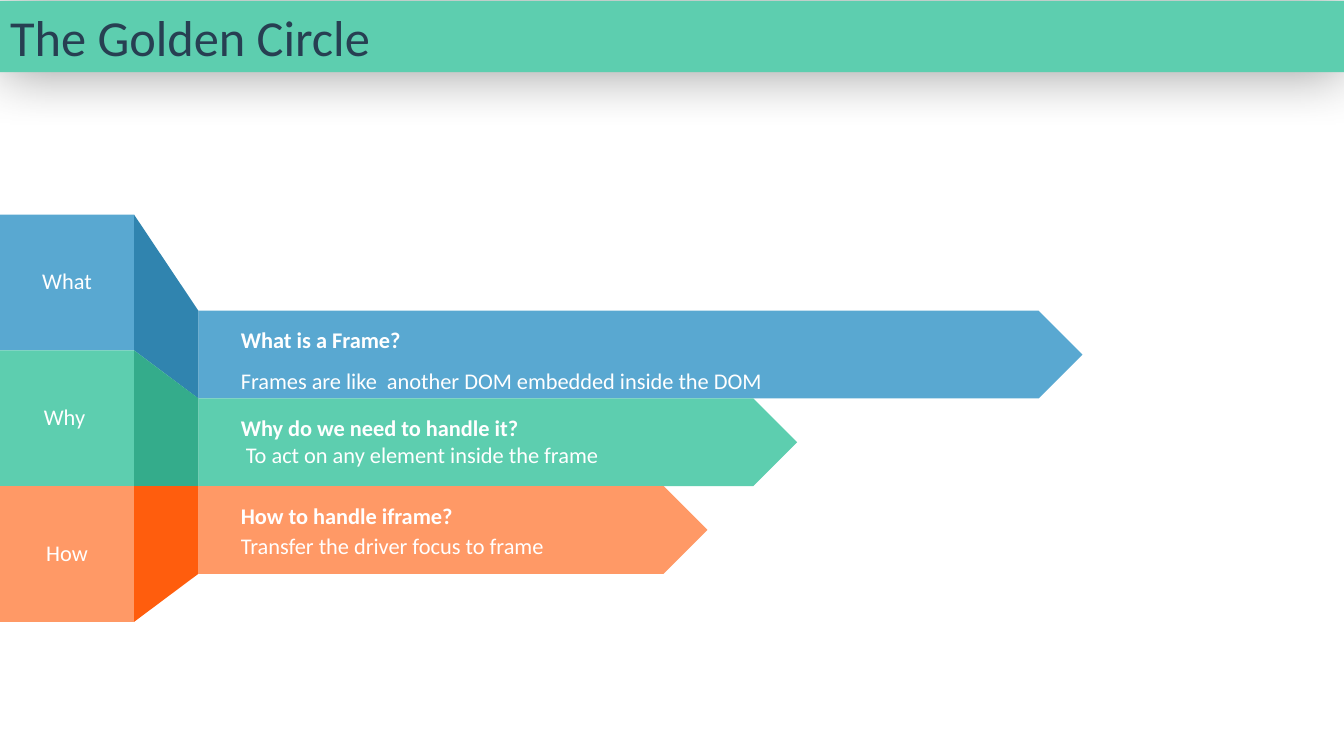
from lxml.etree import SubElement
from pptx import Presentation
from pptx.dml.color import RGBColor
from pptx.enum.shapes import MSO_SHAPE as Preset
from pptx.enum.text import MSO_ANCHOR as Anchor, MSO_AUTO_SIZE as AutoSize, PP_ALIGN as Align
from pptx.oxml.ns import qn
from pptx.util import Cm, Pt

TILE_WIDTH, TILE_HEIGHT, TILES_TOP = 3.38, 3.42, 5.41
ARROW_LEFT, ARROW_HEIGHT, ARROWS_TOP = 5.0, 2.21, 7.83
TEXT_LEFT = 5.82


def rgb(code):
    """Turn a hex string into a colour."""
    return RGBColor.from_string(code)


class SlideBuilder:
    """Hold the style and draw the elements of the current slide."""

    font, size, white = "Calibri", 16, "FFFFFF"

    def __init__(self, slide):
        """Keep the slide that receives the elements."""
        self.slide = slide

    def paint(self, shape, color):
        """Give a shape a flat fill without outline or shadow."""
        shape.shadow.inherit = False
        shape.fill.solid()
        shape.fill.fore_color.rgb = rgb(color)
        shape.line.fill.background()

    def add_run(self, paragraph, text, size, color, bold=False):
        """Append one formatted run to a paragraph."""
        run = paragraph.add_run()
        run.text = text
        run.font.name = self.font
        run.font.size = Pt(size)
        run.font.bold = bold
        run.font.color.rgb = rgb(color)

    def title(self, text):
        """Format the title placeholder as a banner with a soft shadow."""
        shape = self.slide.shapes.title
        shape.left, shape.top, shape.width, shape.height = Cm(0), Cm(0.02), Cm(33.87), Cm(1.8)
        self.paint(shape, "5DCEAF")
        effects = shape.element.spPr.find(qn("a:effectLst"))
        shadow = SubElement(effects, qn("a:outerShdw"), blurRad=str(Pt(40)), dist="0", dir="0",
                            algn="ctr", rotWithShape="0")
        color = SubElement(shadow, qn("a:srgbClr"), val="000000")
        SubElement(color, qn("a:alpha"), val="40000")
        frame = shape.text_frame
        frame.vertical_anchor = Anchor.MIDDLE
        frame.auto_size = AutoSize.NONE
        paragraph = frame.paragraphs[0]
        paragraph.alignment = Align.LEFT
        self.add_run(paragraph, text, 36, "273F52")

    def block(self, preset, left, top, width, height, color):
        """Draw a flat preset shape."""
        shape = self.slide.shapes.add_shape(preset, Cm(left), Cm(top), Cm(width), Cm(height))
        self.paint(shape, color)

    def fold(self, points, color):
        """Draw a flat polygon through the points."""
        first, *others = [(Cm(x), Cm(y)) for x, y in points]
        builder = self.slide.shapes.build_freeform(*first)
        builder.add_line_segments(others, close=True)
        self.paint(builder.convert_to_shape(), color)

    def text(self, left, top, width, height, paragraphs, align=Align.LEFT, spacing=None):
        """Add a text box from paragraphs of (text, bold) runs."""
        box = self.slide.shapes.add_textbox(Cm(left), Cm(top), Cm(width), Cm(height))
        frame = box.text_frame
        frame.word_wrap = False
        frame.auto_size = AutoSize.SHAPE_TO_FIT_TEXT
        for index, runs in enumerate(paragraphs):
            paragraph = frame.add_paragraph() if index else frame.paragraphs[0]
            paragraph.alignment = align
            if spacing:
                paragraph.line_spacing = spacing
            for text, bold in runs:
                self.add_run(paragraph, text, self.size, self.white, bold)


def main():
    """Build the slide and save it."""
    presentation = Presentation()
    presentation.slide_width, presentation.slide_height = Cm(33.87), Cm(19.05)
    slide = presentation.slides.add_slide(presentation.slide_layouts[5])
    builder = SlideBuilder(slide)

    bands = [
        ("What", 1.78, "59A8D1", "3084AF", 22.28),
        ("Why ", 1.7, "5DCEAF", "34AC8B", 15.09),
        ("How", 1.57, "FF9966", "FF5D0D", 12.83),
    ]
    for index, (label, label_width, color, dark, arrow_width) in enumerate(bands):
        tile_top = TILES_TOP + index * TILE_HEIGHT
        arrow_top = ARROWS_TOP + index * ARROW_HEIGHT
        builder.block(Preset.RECTANGLE, 0, tile_top, TILE_WIDTH, TILE_HEIGHT, color)
        builder.block(Preset.PENTAGON, ARROW_LEFT, arrow_top, arrow_width, ARROW_HEIGHT, color)
        builder.fold([(TILE_WIDTH, tile_top), (ARROW_LEFT, arrow_top),
                      (ARROW_LEFT, arrow_top + ARROW_HEIGHT),
                      (TILE_WIDTH, tile_top + TILE_HEIGHT)], dark)
        builder.text((TILE_WIDTH - label_width) / 2, tile_top + 1.2, label_width, 0.94,
                     [[(label, False)]], Align.CENTER)

    builder.text(TEXT_LEFT, 8.1, 4.6, 0.94, [[("What is a Frame?", True)]])
    builder.text(TEXT_LEFT, 9.07, 13.82, 1.02,
                 [[("Frames are like  another DOM embedded inside the DOM", False)]], spacing=1.1)
    builder.text(TEXT_LEFT, 10.31, 9.63, 1.63,
                 [[("Why do we need to handle it?", True)],
                  [(" ", True), ("To act on any element inside the frame", False)]])
    builder.text(TEXT_LEFT, 12.52, 5.92, 0.94, [[("How to handle iframe?", True)]])
    builder.text(TEXT_LEFT, 13.21, 8.26, 1.02,
                 [[("Transfer the driver focus to frame", False)]], spacing=1.1)
    builder.title("The Golden Circle")
    presentation.save("out.pptx")


if __name__ == "__main__":
    main()
